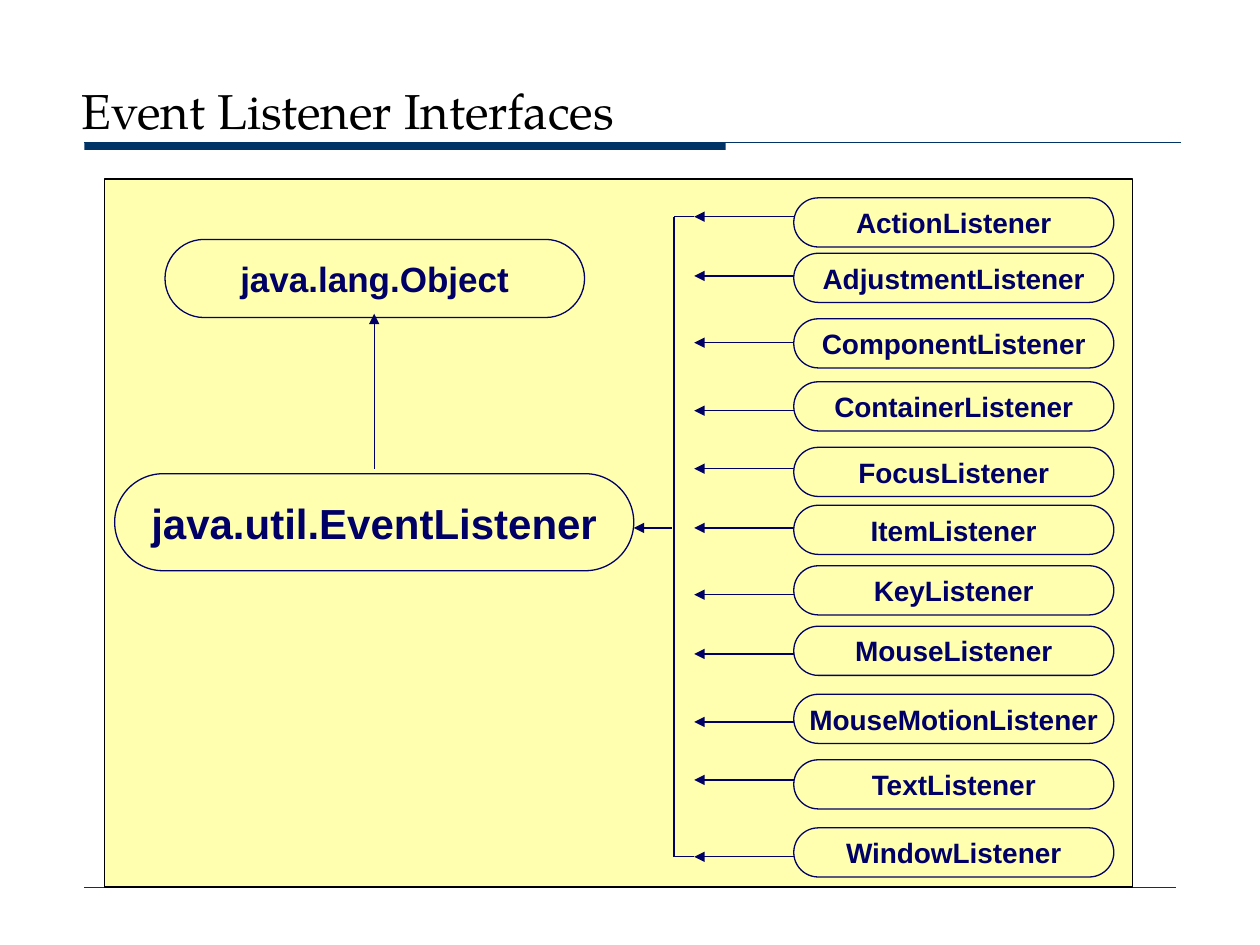
from pptx import Presentation
from pptx.dml.color import RGBColor
from pptx.enum.shapes import MSO_CONNECTOR, MSO_SHAPE
from pptx.enum.text import MSO_ANCHOR, PP_ALIGN
from pptx.oxml.ns import qn
from pptx.util import Pt
from lxml.etree import SubElement

PX = 9144  # EMU in one px, 100 px to the inch
BLUE, NAVY, CREAM, BLACK = "003366", "000066", "FFFFAF", "000000"

# name, top of the pill and height of its arrow, both from the top of the column
LISTENERS = [
    ("ActionListener", 0, 15),
    ("AdjustmentListener", 44, 62),
    ("ComponentListener", 96, 115),
    ("ContainerListener", 146, 169),
    ("FocusListener", 198, 215),
    ("ItemListener", 244, 262),
    ("KeyListener", 292, 315),
    ("MouseListener", 340, 362),
    ("MouseMotionListener", 394, 416),
    ("TextListener", 446, 462),
    ("WindowListener", 500, 523),
]


def px(*lengths):
    return [length * PX for length in lengths]


def color(hex_string):
    return RGBColor.from_string(hex_string)


def set_font(paragraph, name, size, hex_string, bold=False):
    font = paragraph.font
    font.name, font.size, font.bold = name, Pt(size), bold
    font.color.rgb = color(hex_string)


def add_box(slide, kind, box, fill, line=None):
    shape = slide.shapes.add_shape(kind, *px(*box))
    shape.shadow.inherit = False
    shape.fill.solid()
    shape.fill.fore_color.rgb = color(fill)
    if line:
        shape.line.color.rgb = color(line)
        shape.line.width = Pt(0.75)
    else:
        shape.line.fill.background()
    return shape


def add_pill(slide, text, box, size):
    shape = add_box(slide, MSO_SHAPE.ROUNDED_RECTANGLE, box, CREAM, NAVY)
    shape.adjustments[0] = 0.5
    frame = shape.text_frame
    frame.word_wrap = False
    frame.vertical_anchor = MSO_ANCHOR.MIDDLE
    paragraph = frame.paragraphs[0]
    paragraph.text = text
    paragraph.alignment = PP_ALIGN.CENTER
    set_font(paragraph, "Arial", size, NAVY, bold=True)


def add_line(slide, start, end, hex_string=NAVY, width=0.75, arrow=False):
    line = slide.shapes.add_connector(MSO_CONNECTOR.STRAIGHT, *px(*start, *end))
    line.line.color.rgb = color(hex_string)
    line.line.width = Pt(width)
    if arrow:
        SubElement(line.line._get_or_add_ln(), qn("a:tailEnd"), type="triangle")
    SubElement(line._element.spPr, qn("a:effectLst"))


def draw_frame(slide, left, top):
    """Title with its rule, and the thin line at the foot of the slide."""
    add_box(slide, MSO_SHAPE.RECTANGLE, (left, top, 509, 6), BLUE)
    add_line(slide, (left, top), (left + 870, top), BLUE)
    add_line(slide, (left, top + 591), (left + 866, top + 591), BLUE, 0.25)
    title = slide.shapes.add_textbox(*px(left - 12, top - 54, 604, 60))
    title.text_frame.word_wrap = True
    paragraph = title.text_frame.paragraphs[0]
    paragraph.text = "Event Listener Interfaces"
    set_font(paragraph, "TeX Gyre Pagella", 28, BLACK)


def draw_listeners(slide, left, top):
    """Column of listener pills whose arrows point to a bracket on the left."""
    pill_left, tip = left + 95, left + 16
    for name, pill_top, arrow_y in LISTENERS:
        add_pill(slide, name, (pill_left, top + pill_top, 254, 39), 16)
        y = top + arrow_y
        add_line(slide, (pill_left, y), (tip, y), arrow=True)
    first, last = top + LISTENERS[0][2], top + LISTENERS[-1][2]
    add_line(slide, (left, first), (left, last))
    for y in (first, last):
        add_line(slide, (left, y), (tip, y))


def draw_parents(slide, left, top):
    """EventListener below Object, with the arrows that lead up to them."""
    add_pill(slide, "java.lang.Object", (left + 40, top, 333, 62), 20)
    add_pill(slide, "java.util.EventListener", (left, top + 186, 412, 77), 24)
    middle, y = left + 206, top + 229
    add_line(slide, (middle, top + 182), (middle, top + 59), arrow=True)
    add_line(slide, (left + 442, y), (left + 412, y), arrow=True)


def draw_hierarchy(slide, left, top, width, height):
    add_box(slide, MSO_SHAPE.RECTANGLE, (left, top, width, height), CREAM, BLACK)
    draw_listeners(slide, left + 452, top + 15)
    draw_parents(slide, left + 8, top + 48)


def main():
    presentation = Presentation()
    presentation.slide_width, presentation.slide_height = px(1000, 750)
    slide = presentation.slides.add_slide(presentation.slide_layouts[6])
    draw_frame(slide, 67, 113)
    draw_hierarchy(slide, 83, 142, 816, 562)
    presentation.save("out.pptx")


if __name__ == "__main__":
    main()
